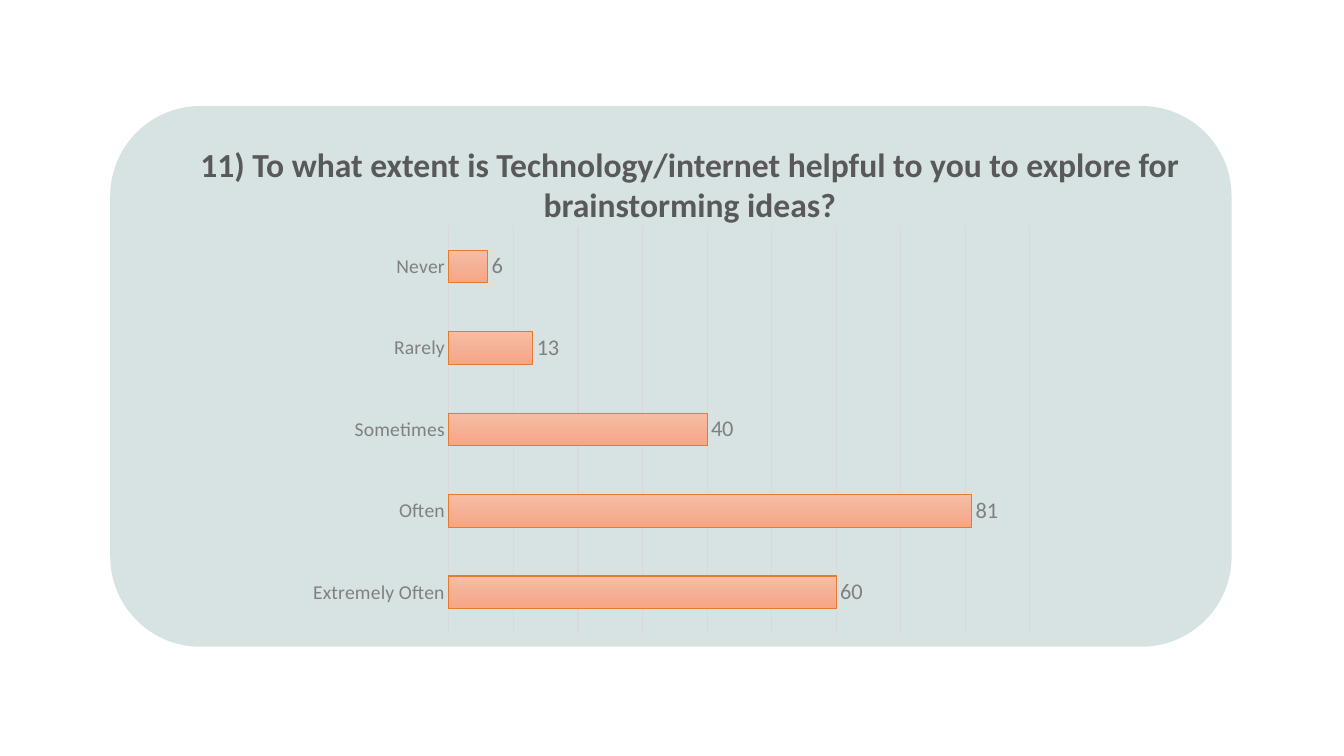
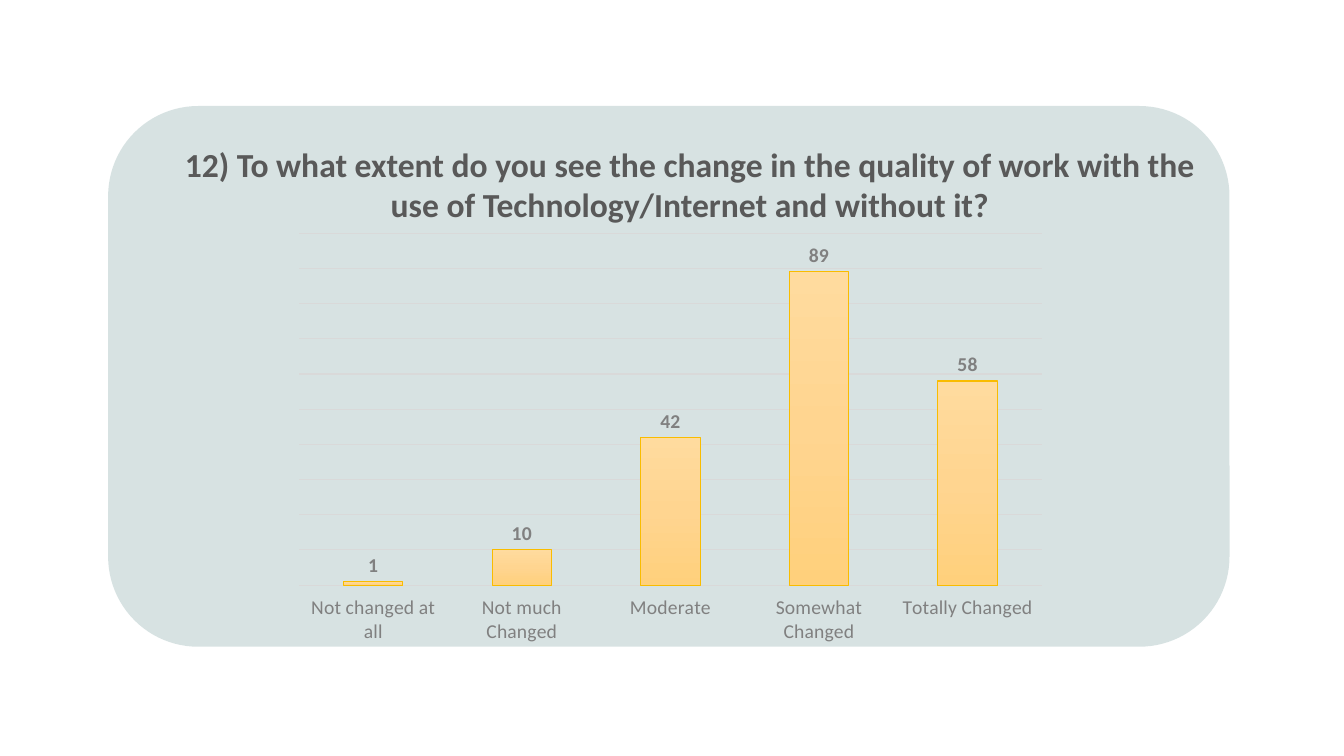
from dataclasses import dataclass

from lxml import etree
from pptx import Presentation
from pptx import util as u
from pptx.chart.data import CategoryChartData
from pptx.dml.color import RGBColor
from pptx.enum import chart as ch, shapes, text
from pptx.oxml.ns import qn

PX = 9525  # EMU in one px, at 96 px to the inch
FONT = "Calibri"
BLACK = RGBColor(0x00, 0x00, 0x00)
PANEL = RGBColor(0xB1, 0xC7, 0xC7)
TITLE = RGBColor(0x59, 0x59, 0x59)
LABEL = RGBColor(0x80, 0x80, 0x80)
GRID = RGBColor(0xD9, 0xD9, 0xD9)
ORANGE = RGBColor(0xE8, 0x7A, 0x30)
ORANGE_SHADES = (RGBColor(0xF7, 0xBD, 0xA5), RGBColor(0xF5, 0xB1, 0x96), RGBColor(0xF8, 0xA5, 0x82))
GOLD = RGBColor(0xF9, 0xBC, 0x00)
GOLD_SHADES = (RGBColor(0xFF, 0xDB, 0x9E), RGBColor(0xFF, 0xD5, 0x90), RGBColor(0xFF, 0xD0, 0x7C))


@dataclass(frozen=True)
class Box:
    x: int
    y: int
    w: int
    h: int

    def emu(self) -> tuple[u.Emu, ...]:
        return tuple(u.Emu(v * PX) for v in (self.x, self.y, self.w, self.h))


@dataclass(frozen=True)
class Question:
    title: str
    panel_x: int
    box: Box
    kind: ch.XL_CHART_TYPE
    answers: dict[str, int]
    axis_max: int
    tick: ch.XL_TICK_MARK
    shades: tuple[RGBColor, ...]
    outline: RGBColor
    value_size: int
    value_bold: bool


TITLE_BOX = Box(140, 132, 1034, 87)
QUESTIONS = (
    Question(
        "11) To what extent is Technology/internet helpful to you to explore for brainstorming ideas?",
        105, Box(284, 207, 711, 404), ch.XL_CHART_TYPE.BAR_CLUSTERED,
        {"Extremely Often": 60, "Often": 81, "Sometimes": 40, "Rarely": 13, "Never": 6},
        90, ch.XL_TICK_MARK.NONE, ORANGE_SHADES, ORANGE, 16, False,
    ),
    Question(
        "12) To what extent do you see the change in the quality of work with the use of "
        "Technology/Internet and without it?",
        103, Box(270, 214, 737, 407), ch.XL_CHART_TYPE.COLUMN_CLUSTERED,
        {"Not changed at all": 1, "Not much Changed": 10, "Moderate": 42,
         "Somewhat Changed": 89, "Totally Changed": 58},
        100, ch.XL_TICK_MARK.OUTSIDE, GOLD_SHADES, GOLD, 14, True,
    ),
)


def style_font(font, size: int, color: RGBColor, bold: bool = False) -> None:
    font.name = FONT
    font.size = u.Pt(size)
    font.bold = bold
    font.color.rgb = color


def add_panel(s, x: int) -> None:
    sp = s.shapes.add_shape(shapes.MSO_SHAPE.ROUNDED_RECTANGLE, *Box(x, 101, 1068, 515).emu())
    sp.shadow.inherit = False
    sp.fill.solid()
    sp.fill.fore_color.rgb = PANEL
    color = sp.fill._xPr.find(".//" + qn("a:srgbClr"))
    etree.SubElement(color, qn("a:alpha"), val="50000")
    sp.line.fill.background()


def add_title(s, title: str) -> None:
    tf = s.shapes.add_textbox(*TITLE_BOX.emu()).text_frame
    tf.word_wrap = True
    tf.auto_size = text.MSO_AUTO_SIZE.SHAPE_TO_FIT_TEXT
    tf.text = title
    p = tf.paragraphs[0]
    p.alignment = text.PP_ALIGN.CENTER
    style_font(p.runs[0].font, 24, TITLE, bold=True)


def shade_down(series, shades: tuple[RGBColor, ...]) -> None:
    """Fill the bars with evenly spaced shades from top to bottom."""
    series.format.fill.gradient()
    grad = series._element.find(".//" + qn("a:gradFill"))
    for child in list(grad):
        grad.remove(child)
    stops = etree.SubElement(grad, qn("a:gsLst"))
    for i, shade in enumerate(shades):
        stop = etree.SubElement(stops, qn("a:gs"), pos=str(i * 100000 // (len(shades) - 1)))
        etree.SubElement(stop, qn("a:srgbClr"), val=str(shade))
    etree.SubElement(grad, qn("a:lin"), ang="5400000", scaled="0")


def add_answer_chart(s, q: Question) -> None:
    data = CategoryChartData()
    data.categories = list(q.answers)
    data.add_series("Series 1", list(q.answers.values()))
    chart = s.shapes.add_chart(q.kind, *q.box.emu(), data).chart
    chart.has_title = False
    chart.has_legend = False
    style_font(chart.font, 10, BLACK)

    cats = chart.category_axis
    cats.major_tick_mark = q.tick
    cats.format.line.fill.background()
    style_font(cats.tick_labels.font, 14, LABEL)

    values = chart.value_axis
    values.visible = False
    values.minimum_scale = 0
    values.maximum_scale = q.axis_max
    values.major_unit = 10
    values.has_major_gridlines = True
    grid = values.major_gridlines.format.line
    grid.color.rgb = GRID
    grid.width = u.Pt(0.75)

    plot = chart.plots[0]
    plot.vary_by_categories = False
    plot.gap_width = 150
    series = plot.series[0]
    shade_down(series, q.shades)
    series.format.line.color.rgb = q.outline
    series.format.line.width = u.Pt(0.75)
    labels = series.data_labels
    labels.show_value = True
    labels.position = ch.XL_LABEL_POSITION.OUTSIDE_END
    style_font(labels.font, q.value_size, LABEL, q.value_bold)


def main() -> None:
    prs = Presentation()
    prs.slide_width = u.Emu(1280 * PX)
    prs.slide_height = u.Emu(720 * PX)
    for q in QUESTIONS:
        s = prs.slides.add_slide(prs.slide_layouts[6])
        add_panel(s, q.panel_x)
        add_title(s, q.title)
        add_answer_chart(s, q)
    prs.save("out.pptx")


if __name__ == "__main__":
    main()
